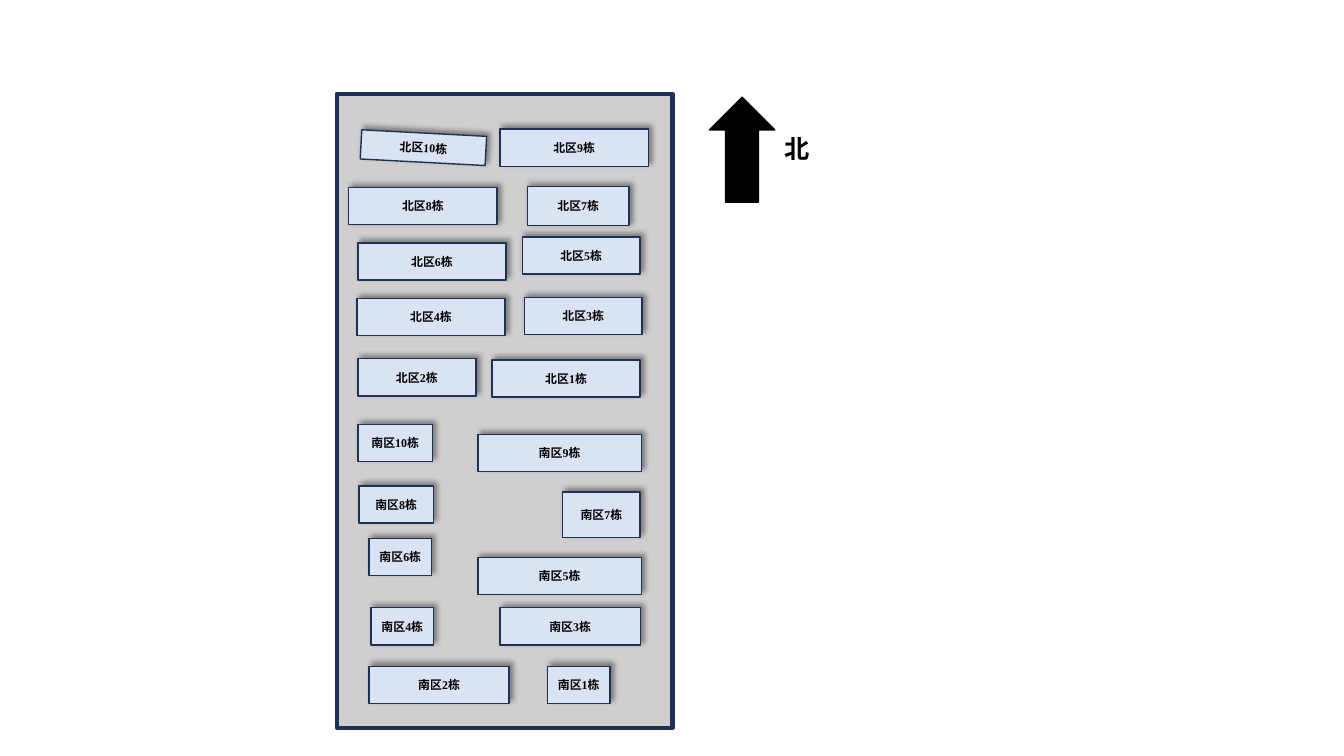
from lxml import etree
from pptx import Presentation, util as u
from pptx.dml.color import RGBColor
from pptx.enum import shapes, text
from pptx.oxml import parse_xml
from pptx.oxml.ns import nsdecls, qn

CELL = 0.1
ROW_HEIGHT = 3.7


def rgb(code):
    return RGBColor.from_string(code)


class SitePlan:
    """Draws a site plan on one slide, measured in columns and rows of a 0.1 inch grid."""

    navy, ground, roof, ink = "1E3256", "D0CECE", "DAE3F3", "000000"
    cjk, latin = "Noto Sans CJK SC", "Times New Roman"

    def __init__(self, prs):
        self.s = prs.slides.add_slide(prs.slide_layouts[6])
        self.plan = self.s.shapes.add_group_shape()

    def box(self, *cells):
        return [u.Inches(n * CELL) for n in cells]

    def shape(self, kind, cells, fill, line, weight):
        sp = self.plan.shapes.add_shape(kind, *self.box(*cells))
        sp.shadow.inherit = False
        sp.fill.solid()
        sp.fill.fore_color.rgb = rgb(fill)
        sp.line.color.rgb = rgb(line)
        sp.line.width = u.Pt(weight)
        return sp

    def add_words(self, p, size, runs):
        p.font.size = u.Pt(size)
        p.font.bold = True
        p.font.color.rgb = rgb(self.ink)
        for words in runs:
            r = p.add_run()
            r.text = words
            r.font.name = self.latin if words.isdigit() else self.cjk
            if not words.isdigit():
                ea = etree.SubElement(r.font._element, qn("a:ea"))
                ea.set("typeface", self.cjk)

    def cast_shadow(self, sp):
        effects = sp._element.spPr.find(qn("a:effectLst"))
        effects.append(parse_xml(
            f'<a:outerShdw {nsdecls("a")} blurRad="{u.Pt(4)}" dist="{u.Pt(3)}" '
            f'dir="{315 * 60000}" algn="bl" rotWithShape="0">'
            f'<a:srgbClr val="{self.ink}"><a:alpha val="40000"/></a:srgbClr></a:outerShdw>'))

    def site(self, *cells):
        self.shape(shapes.MSO_SHAPE.RECTANGLE, cells, self.ground, self.navy, 3)

    def building(self, zone, number, col, row, width, height=ROW_HEIGHT, angle=0):
        sp = self.shape(shapes.MSO_SHAPE.RECTANGLE, (col, row, width, height),
                        self.roof, self.navy, 1)
        sp.rotation = angle
        self.cast_shadow(sp)
        tf = sp.text_frame
        tf.word_wrap = True
        tf.vertical_anchor = text.MSO_ANCHOR.MIDDLE
        p = tf.paragraphs[0]
        p.alignment = text.PP_ALIGN.CENTER
        self.add_words(p, 8.5, (zone, str(number), "栋"))

    def arrow(self, *cells):
        self.shape(shapes.MSO_SHAPE.UP_ARROW, cells, self.ink, self.ink, 1)

    def label(self, words, *cells):
        tf = self.s.shapes.add_textbox(*self.box(*cells)).text_frame
        tf.word_wrap = True
        tf.auto_size = text.MSO_AUTO_SIZE.SHAPE_TO_FIT_TEXT
        self.add_words(tf.paragraphs[0], 18, [words])


BUILDINGS = {
    "南区": [
        (3, 49.6, 60.3, 13.9),
        (1, 54.3, 66.1, 6.2),
        (2, 36.6, 66.1, 13.9),
        (4, 36.8, 60.3, 6.2),
        (5, 47.4, 55.3, 16.2),
        (6, 36.6, 53.4, 6.2),
        (8, 35.6, 48.2, 7.4),
        (7, 55.8, 48.8, 7.7, 4.5),
        (9, 47.4, 43.1, 16.2),
        (10, 35.5, 42.1, 7.4),
    ],
    "北区": [
        (1, 48.8, 35.7, 14.7),
        (2, 35.5, 35.6, 11.7),
        (4, 35.4, 29.6, 14.7),
        (3, 52, 29.5, 11.7),
        (6, 35.5, 24.1, 14.7),
        (5, 51.8, 23.5, 11.7),
        (8, 34.6, 18.6, 14.7),
        (7, 52.3, 18.5, 10.1, 3.9),
        (10, 35.8, 13.2, 12.4, 2.9, 3),
        (9, 49.6, 12.8, 14.7),
    ],
}


def main():
    prs = Presentation()
    prs.slide_width, prs.slide_height = u.Inches(13.33), u.Inches(7.5)
    plan = SitePlan(prs)
    plan.site(33.4, 9.3, 33.3, 62.9)
    for zone, blocks in BUILDINGS.items():
        for block in blocks:
            plan.building(zone, *block)
    plan.arrow(70.35, 9.65, 6.5, 10.4)
    plan.label("北", 76.8, 12.7, 4.4, 4)
    prs.save("out.pptx")


if __name__ == "__main__":
    main()
